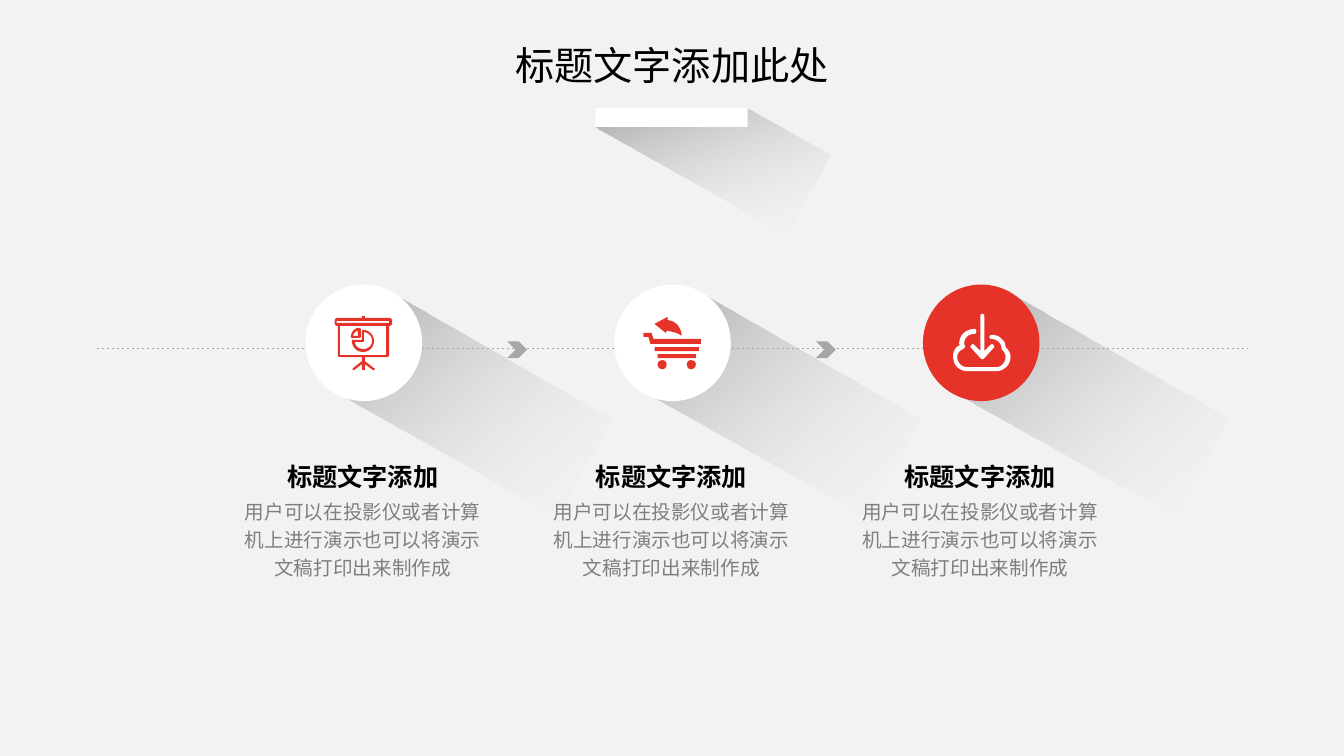
from lxml.etree import SubElement
from pptx import Presentation
from pptx.dml.color import RGBColor
from pptx.enum.dml import MSO_LINE
from pptx.enum.shapes import MSO_CONNECTOR, MSO_SHAPE
from pptx.enum.text import MSO_ANCHOR, PP_ALIGN
from pptx.oxml.ns import qn
from pptx.util import Emu, Pt

PX = 9525
GRID = 9144
FINE = 10
CURVE_STEPS = 6
FONT = "Noto Sans CJK SC"

BACKGROUND = RGBColor(0xF2, 0xF2, 0xF2)
WHITE = RGBColor(0xFF, 0xFF, 0xFF)
BLACK = RGBColor(0x00, 0x00, 0x00)
RED = RGBColor(0xE6, 0x33, 0x2A)
GREY = RGBColor(0xA6, 0xA6, 0xA6)
BODY_GREY = RGBColor(0x7F, 0x7F, 0x7F)

BAR_SHADOW = ["0 19 L 151 0 L 233 46 L 189 125"]
CIRCLE_SHADOW = ["30 107 L 84 7 L 304 133 L 250 230"]

BOARD_STAND = """57 31 C 58 31 59 31 59 32 L 59 33 L 83 33 C 85 33 86 35 86 36 L 86 38
C 86 40 85 41 83 41 L 83 70 C 83 71 82 72 80 72 L 59 72 L 59 76 L 68 83
C 69 83 69 84 68 85 C 67 85 67 85 67 85 L 59 79 L 59 84 C 59 85 58 85 57 85
C 57 85 56 85 56 84 L 56 79 L 48 85 C 47 85 46 84 47 83 L 56 76 L 56 72
L 34 72 C 33 72 32 71 32 70 L 32 41 L 31 41 C 30 41 29 40 29 38 L 29 36
C 29 35 30 33 31 33 L 56 33 L 56 32 C 56 31 57 31 57 31"""
BOARD_SCREEN = "34 41 L 34 70 L 80 70 L 80 41"
BOARD_RAIL = "31 36 L 31 38 L 83 38 L 83 36"
SLICE_RIM = """53 43 C 54 43 55 44 55 45 L 55 52 C 55 52 54 53 53 53 L 46 53
C 45 53 45 52 45 52 C 45 47 49 43 53 43"""
SLICE_HOLE = "52 46 C 50 46 48 48 47 51 L 52 51"
PIE_RIM = """57 45 C 63 45 68 50 68 56 C 68 62 63 67 57 67 C 51 67 46 62 46 56
C 46 55 47 55 47 55 L 56 55 L 56 46 C 56 45 57 45 57 45"""
PIE_HOLE = """58 47 L 58 56 C 58 56 58 57 57 57 L 49 57 C 49 61 53 64 57 64
C 62 64 66 61 66 56 C 66 51 63 48 58 47"""
BOARD = [BOARD_STAND, BOARD_SCREEN, BOARD_RAIL, SLICE_RIM, SLICE_HOLE, PIE_RIM, PIE_HOLE]

RIGHT_WHEEL = """76 75 C 79 75 81 77 81 79 C 81 82 79 84 76 84
C 74 84 72 82 72 79 C 72 77 74 75 76 75"""
LEFT_WHEEL = """48 75 C 50 75 52 77 52 79 C 52 82 50 84 48 84
C 45 84 43 82 43 79 C 43 77 45 75 48 75"""
LOW_BAR = "43 69 L 81 69 L 81 73 L 43 73"
MIDDLE_BAR = "40 62 L 84 62 L 84 66 L 40 66"
HANDLE = "29 48 L 37 48 L 39 54 L 86 54 L 86 59 L 36 59 L 34 52 L 29 52"
RETURN_ARROW = "53 32 L 53 35 C 67 37 67 51 67 51 C 67 51 63 47 52 46 L 51 48 L 40 39"
CART = [RIGHT_WHEEL, LEFT_WHEEL, LOW_BAR, MIDDLE_BAR, HANDLE, RETURN_ARROW]

CLOUD_RIM = """51 44 C 52 44 53 45 53 46 C 53 48 52 49 51 49 C 45 49 41 53 41 58
C 41 59 41 60 42 61 C 42 62 41 63 40 64 C 37 65 34 68 34 72
C 34 77 38 82 44 82 L 73 82 C 78 82 82 77 82 72 C 82 70 81 67 79 65
C 78 65 78 64 78 63 C 78 58 73 54 68 54 C 67 54 66 53 66 52
C 66 51 67 50 68 50 C 72 50 76 51 78 54 C 81 56 82 59 82 62
C 85 65 87 68 87 72 C 87 80 80 86 73 86 L 44 86 C 36 86 30 80 30 72
C 30 69 30 67 32 64 C 33 62 35 61 37 60 C 36 59 36 59 36 58
C 36 50 43 44 51 44"""
DOWN_ARROW = """59 29 C 60 29 61 30 61 32 L 61 66 L 67 60 C 68 59 69 59 70 60
C 71 61 71 63 70 63 L 61 73 C 60 74 60 74 59 74 C 58 74 58 74 57 73
L 48 63 C 47 63 47 61 48 60 C 49 59 50 59 51 60 L 57 66 L 57 32
C 57 30 58 29 59 29"""
CLOUD = [CLOUD_RIM, DOWN_ARROW]


def px(*lengths):
    return [Emu(length * PX) for length in lengths]


def trace(contour):
    points = []
    for step in contour.replace("L", "|L").replace("C", "|C").split("|"):
        numbers = [int(n) * FINE for n in step.strip("LC \n").split()]
        pairs = list(zip(numbers[::2], numbers[1::2]))
        if len(pairs) == 1:
            points += pairs
            continue
        curve = [points[-1]] + pairs
        for i in range(1, CURVE_STEPS + 1):
            t = i / CURVE_STEPS
            weights = ((1 - t) ** 3, 3 * t * (1 - t) ** 2, 3 * t * t * (1 - t), t ** 3)
            points.append(tuple(sum(w * p[axis] for w, p in zip(weights, curve))
                                for axis in (0, 1)))
    return points


def write(frame, text, size, color, bold=False, spacing=1.0, wrap=True):
    frame.word_wrap = wrap
    frame.vertical_anchor = MSO_ANCHOR.TOP
    frame.margin_left = frame.margin_right = Pt(3.6)
    frame.margin_top = frame.margin_bottom = Pt(3.6)
    paragraph = frame.paragraphs[0]
    paragraph.alignment = PP_ALIGN.CENTER
    paragraph.line_spacing = spacing
    run = paragraph.add_run()
    run.text = text
    font = run.font
    font.name, font.size, font.bold = FONT, Pt(size), bold
    font.color.rgb = color
    SubElement(font._element, qn("a:ea"), typeface=FONT)


class Canvas:
    def __init__(self, slide):
        self.shapes = slide.shapes
        slide.background.fill.solid()
        slide.background.fill.fore_color.rgb = BACKGROUND

    def title(self, text, *box, **style):
        heading = self.shapes.title
        heading.left, heading.top, heading.width, heading.height = px(*box)
        write(heading.text_frame, text, **style)

    def text(self, text, *box, **style):
        write(self.shapes.add_textbox(*px(*box)).text_frame, text, **style)

    def shape(self, kind, color, *box):
        shape = self.shapes.add_shape(kind, *px(*box))
        shape.fill.solid()
        shape.fill.fore_color.rgb = color
        shape.line.fill.background()
        shape.shadow.inherit = False

    def outline(self, drawing, left, top):
        first, *others = map(trace, drawing)
        builder = self.shapes.build_freeform(*first[0], scale=GRID / FINE)
        builder.add_line_segments(first[1:], close=True)
        for points in others:
            builder.move_to(*points[0])
            builder.add_line_segments(points[1:], close=True)
        shape = builder.convert_to_shape(*px(left, top))
        shape.line.fill.background()
        shape.shadow.inherit = False
        return shape

    def icon(self, drawing, color, left, top):
        fill = self.outline(drawing, left, top).fill
        fill.solid()
        fill.fore_color.rgb = color

    def long_shadow(self, drawing, left, top, angle):
        shadow = self.outline(drawing, left, top)
        shadow.fill.gradient()
        shadow.fill.gradient_angle = 360 - angle
        for stop, color in zip(shadow.fill.gradient_stops, (BLACK, BACKGROUND)):
            stop.color.rgb = color
        for tint, alpha in zip(shadow._element.iter(qn("a:srgbClr")), (30000, 0)):
            SubElement(tint, qn("a:alpha"), val=str(alpha))

    def dashed_line(self, color, *ends):
        connector = self.shapes.add_connector(MSO_CONNECTOR.STRAIGHT, *px(*ends))
        connector.line.color.rgb = color
        connector.line.width = Pt(0.5)
        connector.line.dash_style = MSO_LINE.DASH
        SubElement(connector._element.spPr, qn("a:effectLst"))


def main():
    deck = Presentation()
    deck.slide_width, deck.slide_height = px(1280, 720)
    canvas = Canvas(deck.slides.add_slide(deck.slide_layouts[5]))

    pitch, circle_top, diameter = 294, 271, 111
    circle_lefts = [291 + i * pitch for i in range(3)]
    steps = [(WHITE, RED, BOARD), (WHITE, RED, CART), (RED, WHITE, CLOUD)]

    for left in reversed(circle_lefts):
        canvas.long_shadow(CIRCLE_SHADOW, left, circle_top, angle=49)
    canvas.dashed_line(GREY, 92, 332, 1188, 332)
    for left, (disc, ink, drawing) in zip(circle_lefts, steps):
        canvas.shape(MSO_SHAPE.OVAL, disc, left, circle_top, diameter, diameter)
        canvas.icon(drawing, ink, left, circle_top)
    for left in circle_lefts[:2]:
        canvas.shape(MSO_SHAPE.CHEVRON, GREY, left + 192, 325, 19, 16)

    canvas.long_shadow(BAR_SHADOW, 567, 103, angle=69)
    canvas.shape(MSO_SHAPE.RECTANGLE, WHITE, 567, 103, 145, 18)
    canvas.title("标题文字添加此处", 485, 35, 310, 63, size=28, color=BLACK, wrap=False)

    for left in circle_lefts:
        canvas.text("用户可以在投影仪或者计算机上进行演示也可以将演示文稿打印出来制作成",
                    left - 63, 467, 235, 100, size=14, color=BODY_GREY, spacing=1.2)
        canvas.text("标题文字添加", left - 63, 429, 235, 43,
                    size=18, color=BLACK, bold=True, spacing=1.2)

    deck.save("out.pptx")


if __name__ == "__main__":
    main()
